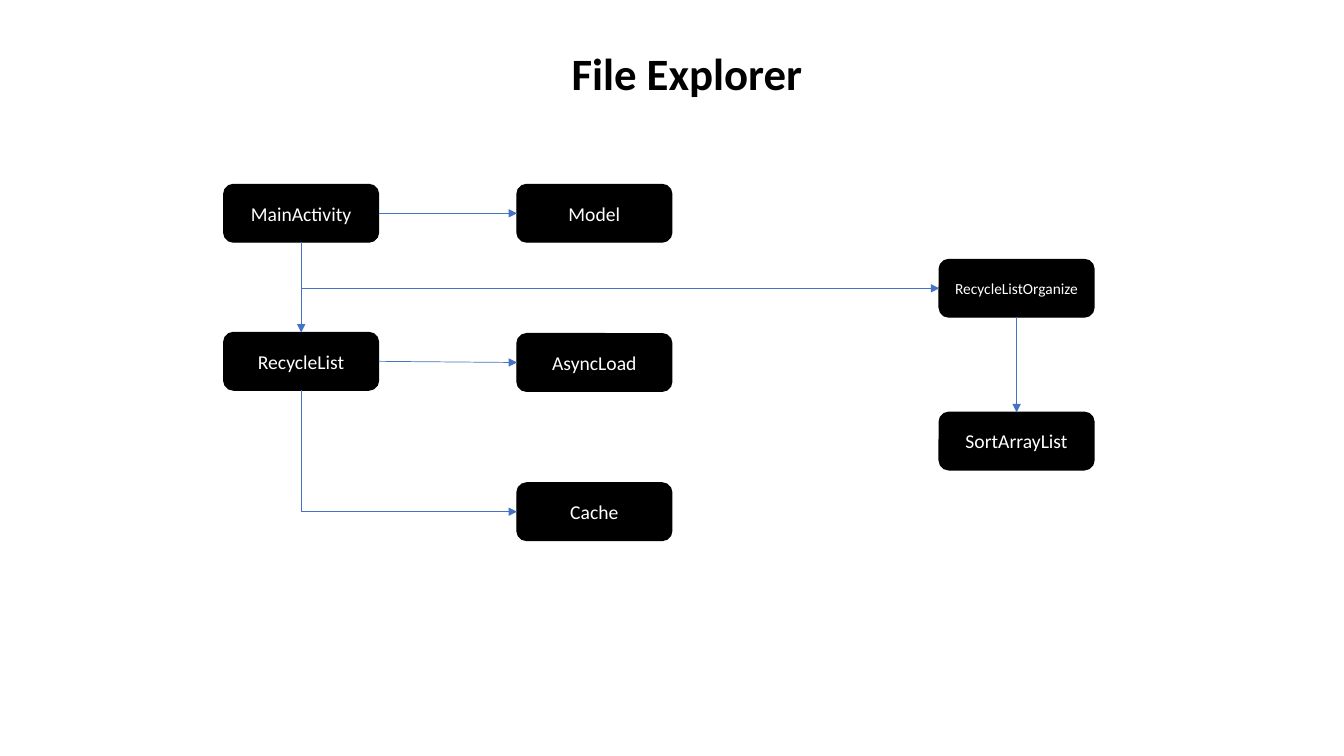
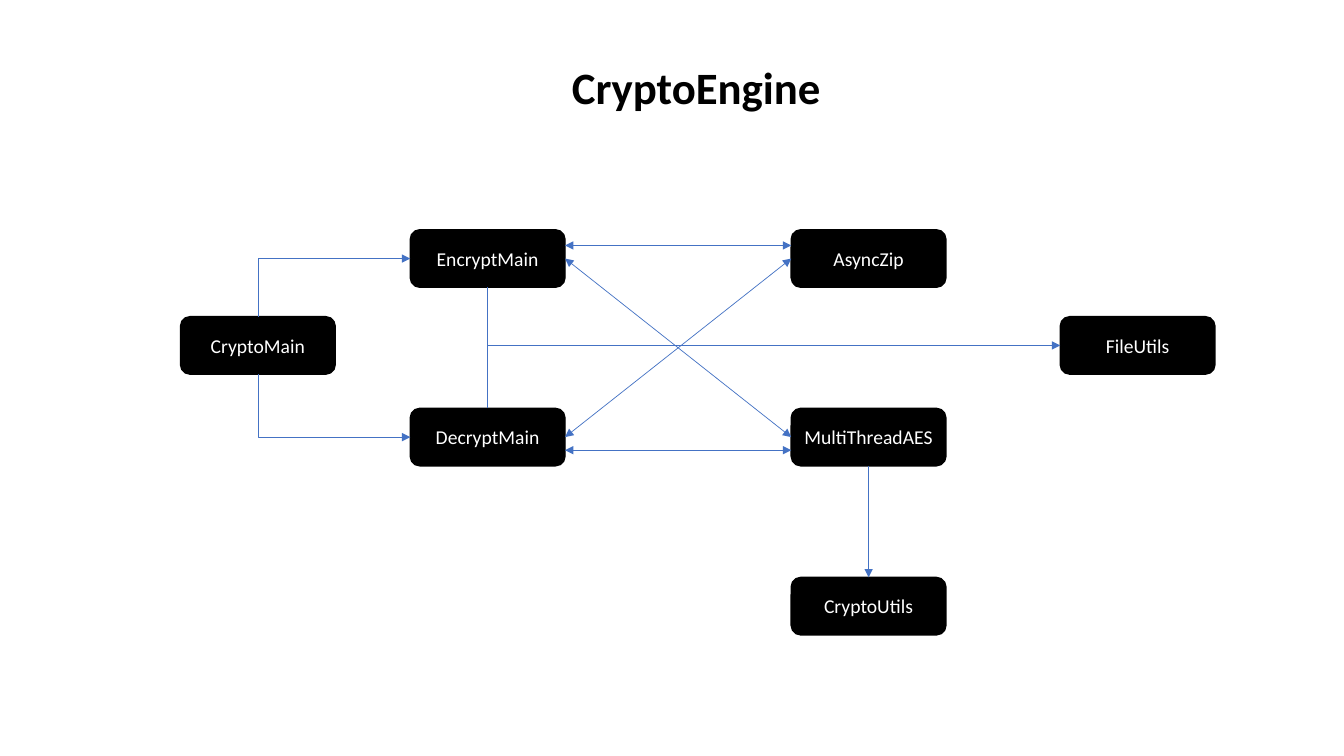
import dataclasses

import lxml.etree
import pptx
import pptx.dml.color
import pptx.enum.shapes
import pptx.enum.text
import pptx.oxml.ns
import pptx.util

Cm = pptx.util.Cm
Pt = pptx.util.Pt
CONNECTOR = pptx.enum.shapes.MSO_CONNECTOR
TOP, LEFT, BOTTOM, RIGHT = range(4)


@dataclasses.dataclass(frozen=True)
class Theme:
    font: str = "Calibri"
    ink: str = "000000"
    box_text: str = "FFFFFF"
    arrow: str = "4472C4"
    title_size: float = 32
    label_size: float = 14
    small_size: float = 11
    border_width: float = 1
    arrow_width: float = 0.5


THEME = Theme()
SLIDE_SIZE = (33.87, 19.05)
BOX_SIZE = (3.9, 1.45)
TITLE_HEIGHT = 1.62
PARALLEL_SHIFT = 0.33
SMALL_LABELS = {"RecycleListOrganize"}

DIAGRAMS = [
    {
        "title": ("File Explorer", 13.39, 1.04, 7.85),
        "boxes": {
            "MainActivity": (5.64, 4.65),
            "RecycleList": (5.64, 8.38),
            "RecycleListOrganize": (23.67, 6.54),
            "Cache": (13.03, 12.17),
            "Model": (13.03, 4.65),
            "AsyncLoad": (13.03, 8.41),
            "SortArrayList": (23.67, 10.39),
        },
        "straight": [
            ("MainActivity", BOTTOM, "RecycleList", TOP),
            ("MainActivity", RIGHT, "Model", LEFT),
            ("RecycleList", RIGHT, "AsyncLoad", LEFT),
            ("RecycleListOrganize", BOTTOM, "SortArrayList", TOP),
        ],
        "two_way": [],
        "bent": [
            ("RecycleList", BOTTOM, "Cache", LEFT),
            ("MainActivity", BOTTOM, "RecycleListOrganize", LEFT),
        ],
        "parallel": [],
        "merging": [],
    },
    {
        "title": ("CryptoEngine", 12.76, 1.37, 9.58),
        "boxes": {
            "CryptoMain": (4.55, 7.98),
            "EncryptMain": (10.34, 5.79),
            "MultiThreadAES": (19.94, 10.29),
            "DecryptMain": (10.34, 10.29),
            "AsyncZip": (19.94, 5.79),
            "FileUtils": (26.72, 7.98),
            "CryptoUtils": (19.94, 14.55),
        },
        "straight": [("MultiThreadAES", BOTTOM, "CryptoUtils", TOP)],
        "two_way": [
            ("DecryptMain", RIGHT, "AsyncZip", LEFT),
            ("EncryptMain", RIGHT, "MultiThreadAES", LEFT),
        ],
        "bent": [
            ("CryptoMain", TOP, "EncryptMain", LEFT),
            ("CryptoMain", BOTTOM, "DecryptMain", LEFT),
            ("EncryptMain", BOTTOM, "FileUtils", LEFT),
        ],
        "parallel": [
            ("EncryptMain", "AsyncZip", -PARALLEL_SHIFT),
            ("DecryptMain", "MultiThreadAES", PARALLEL_SHIFT),
        ],
        "merging": [("DecryptMain", "FileUtils")],
    },
]


def rgb(value):
    return pptx.dml.color.RGBColor.from_string(value)


def write_text(shape, text, *, size, color, bold=False, anchor=pptx.enum.text.MSO_ANCHOR.TOP):
    frame = shape.text_frame
    frame.word_wrap = True
    frame.vertical_anchor = anchor
    paragraph = frame.paragraphs[0]
    paragraph.alignment = pptx.enum.text.PP_ALIGN.CENTER
    run = paragraph.add_run()
    run.text = text
    run.font.name = THEME.font
    run.font.size = Pt(size)
    run.font.bold = bold
    run.font.color.rgb = rgb(color)


def add_title(slide, text, left, top, width):
    shape = slide.shapes.add_textbox(Cm(left), Cm(top), Cm(width), Cm(TITLE_HEIGHT))
    write_text(shape, text, size=THEME.title_size, color=THEME.ink, bold=True)


def add_box(slide, text, left, top):
    shape = slide.shapes.add_shape(
        pptx.enum.shapes.MSO_SHAPE.ROUNDED_RECTANGLE,
        Cm(left), Cm(top), *map(Cm, BOX_SIZE))
    shape.shadow.inherit = False
    shape.fill.solid()
    shape.fill.fore_color.rgb = rgb(THEME.ink)
    shape.line.color.rgb = rgb(THEME.ink)
    shape.line.width = Pt(THEME.border_width)
    size = THEME.small_size if text in SMALL_LABELS else THEME.label_size
    write_text(shape, text, size=size, color=THEME.box_text,
               anchor=pptx.enum.text.MSO_ANCHOR.MIDDLE)
    return shape


def add_line(slide, start=(0, 0), end=(0, 0), *, kind=CONNECTOR.STRAIGHT, arrows=("tailEnd",)):
    connector = slide.shapes.add_connector(kind, *start, *end)
    connector.line.color.rgb = rgb(THEME.arrow)
    connector.line.width = Pt(THEME.arrow_width)
    properties = connector.element.spPr
    outline = properties.find(pptx.oxml.ns.qn("a:ln"))
    for arrow in arrows:
        lxml.etree.SubElement(outline, pptx.oxml.ns.qn(f"a:{arrow}"), type="triangle")
    lxml.etree.SubElement(properties, pptx.oxml.ns.qn("a:effectLst"))
    return connector


def join(slide, boxes, link, **line_format):
    source, source_side, target, target_side = link
    connector = add_line(slide, **line_format)
    connector.begin_connect(boxes[source], source_side)
    connector.end_connect(boxes[target], target_side)
    return connector


def bend(connector):
    across = connector.end_x - connector.begin_x
    down = connector.end_y - connector.begin_y
    center_x = (connector.begin_x + connector.end_x) // 2
    center_y = (connector.begin_y + connector.end_y) // 2
    connector.width, connector.height = abs(down), abs(across)
    connector.left = center_x - connector.width // 2
    connector.top = center_y - connector.height // 2
    properties = connector.element.spPr
    transform = properties.find(pptx.oxml.ns.qn("a:xfrm"))
    transform.set("rot", str((270 if down > 0 else 90) * 60000))
    transform.set("flipH", "1")
    transform.set("flipV", "0" if down > 0 else "1")
    properties.find(pptx.oxml.ns.qn("a:prstGeom")).set("prst", "bentConnector2")


def middle(shape):
    return shape.left + shape.width // 2, shape.top + shape.height // 2


def build_diagram(presentation, diagram):
    slide = presentation.slides.add_slide(presentation.slide_layouts[6])
    add_title(slide, *diagram["title"])
    boxes = {name: add_box(slide, name, *place) for name, place in diagram["boxes"].items()}
    both = ("headEnd", "tailEnd")
    for link in diagram["straight"]:
        join(slide, boxes, link)
    for link in diagram["two_way"]:
        join(slide, boxes, link, arrows=both)
    for link in diagram["bent"]:
        bend(join(slide, boxes, link, kind=CONNECTOR.ELBOW))
    for source, target, shift in diagram["parallel"]:
        level = middle(boxes[source])[1] + Cm(shift)
        right_edge = boxes[source].left + boxes[source].width
        add_line(slide, (right_edge, level), (boxes[target].left, level), arrows=both)
    for source, target in diagram["merging"]:
        center = middle(boxes[source])[0]
        start = (center, boxes[source].top)
        connector = add_line(slide, start, (center, middle(boxes[target])[1]), arrows=())
        connector.begin_connect(boxes[source], TOP)


def main():
    presentation = pptx.Presentation()
    presentation.slide_width, presentation.slide_height = map(Cm, SLIDE_SIZE)
    for diagram in DIAGRAMS:
        build_diagram(presentation, diagram)
    presentation.save("out.pptx")


if __name__ == "__main__":
    main()
